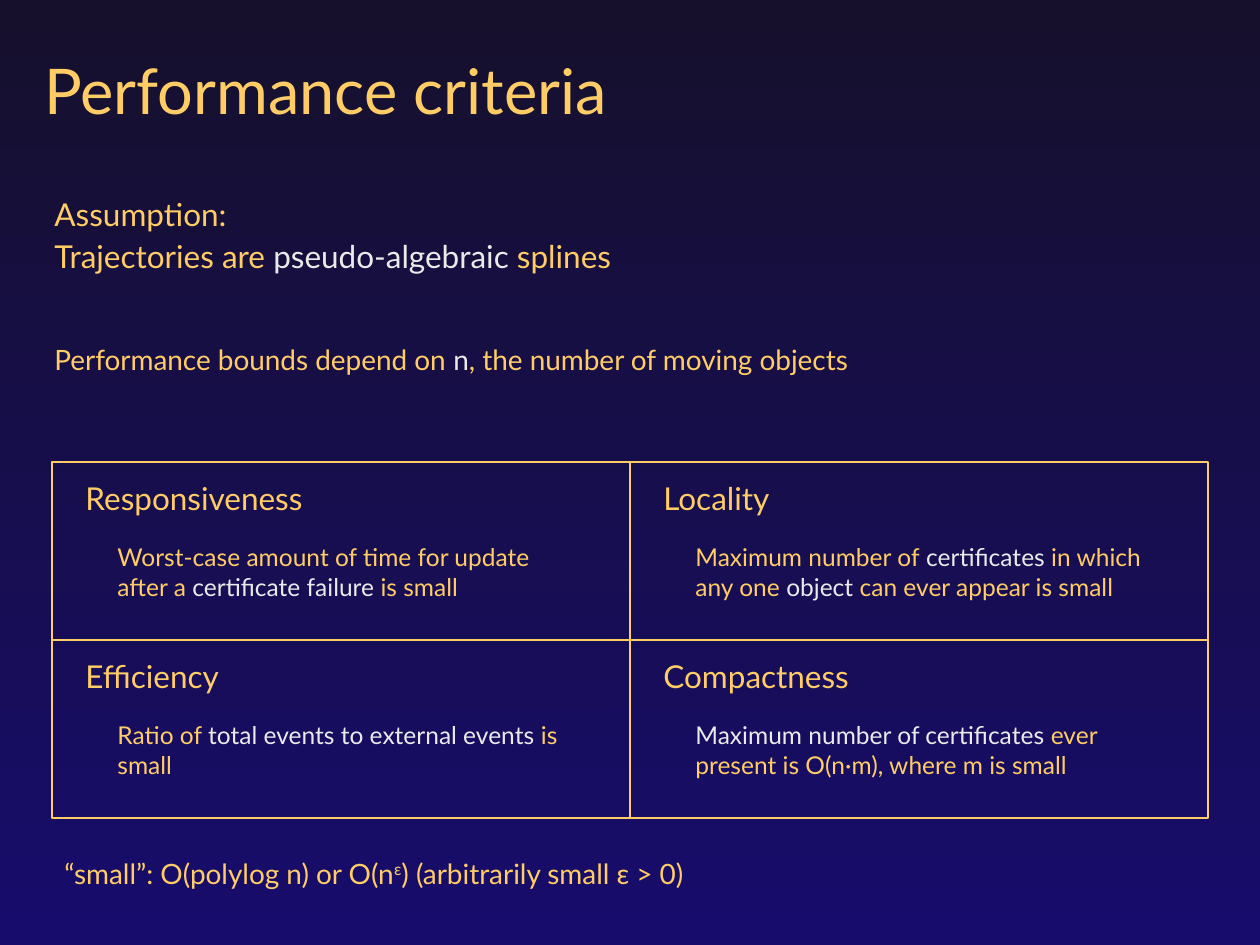
import pptx
import pptx.dml.color
import pptx.enum.shapes
import pptx.enum.text
import pptx.oxml.ns
import pptx.util
from lxml import etree

PX = 914400 / 126  # EMU per px
GOLD = pptx.dml.color.RGBColor(0xFF, 0xCC, 0x66)
PALE = pptx.dml.color.RGBColor(0xEA, 0xEA, 0xEA)
NIGHT = pptx.dml.color.RGBColor(0x16, 0x10, 0x2C)
INDIGO = pptx.dml.color.RGBColor(0x17, 0x0C, 0x6C)
FONT = "Lato"

# A paragraph is a list of (text, style) runs.
PLAIN, KEY, SUPER = "plain", "key", "super"
TITLE = [("Performance criteria", PLAIN)]
ASSUMPTION = [
    [("Assumption:", PLAIN)],
    [("Trajectories are ", PLAIN), ("pseudo-algebraic", KEY), (" splines", PLAIN)],
]
BOUNDS = [("Performance bounds depend on ", PLAIN), ("n", KEY),
          (", the number of moving objects", PLAIN)]
CRITERIA = [  # rows of (name, definition)
    [
        ("Responsiveness", [
            ("Worst-case amount of time for update after a ", PLAIN),
            ("certificate failure", KEY), (" is small", PLAIN)]),
        ("Locality", [
            ("Maximum number of", PLAIN), (" certificates", KEY),
            (" in which any one ", PLAIN), ("object", KEY),
            (" can ever appear is small", PLAIN)]),
    ],
    [
        ("Efficiency", [
            ("Ratio of ", PLAIN), ("total events to external events", KEY),
            (" is small", PLAIN)]),
        ("Compactness", [
            ("Maximum number of certificates", KEY),
            (" ever present is O(n·m), where m is small", PLAIN)]),
    ],
]
FOOTNOTE = [("“small”: O(polylog n) or O(n", PLAIN), ("ε", SUPER),
            (") (arbitrarily small ε > 0)", PLAIN)]

GRID_LEFT, GRID_TOP, CELL_W, CELL_H = 52, 462, 578, 178


def emu(*lengths):
    return [pptx.util.Emu(round(length * PX)) for length in lengths]


def write(frame, paragraphs, size, space_after=0):
    frame.word_wrap = True
    for i, runs in enumerate(paragraphs):
        paragraph = frame.paragraphs[0] if i == 0 else frame.add_paragraph()
        paragraph.alignment = pptx.enum.text.PP_ALIGN.LEFT
        paragraph.space_after = pptx.util.Pt(space_after)
        for text, style in runs:
            run = paragraph.add_run()
            run.text = text
            run.font.name = FONT
            run.font.size = pptx.util.Pt(size)
            run.font.color.rgb = PALE if style == KEY else GOLD
            if style == SUPER:
                run.font._element.set("baseline", "30000")


def add_text(slide, box, paragraphs, size, space_after=0):
    frame = slide.shapes.add_textbox(*emu(*box)).text_frame
    write(frame, paragraphs, size, space_after)


def add_rule(slide, x1, y1, x2, y2):
    rule = slide.shapes.add_connector(
        pptx.enum.shapes.MSO_CONNECTOR.STRAIGHT, *emu(x1, y1, x2, y2))
    rule.line.color.rgb = GOLD
    rule.line.width = pptx.util.Pt(1)
    etree.SubElement(rule._element.spPr, pptx.oxml.ns.qn("a:effectLst"))


def add_criteria(slide):
    right, bottom = GRID_LEFT + 2 * CELL_W, GRID_TOP + 2 * CELL_H
    middle_x, middle_y = GRID_LEFT + CELL_W, GRID_TOP + CELL_H
    border = slide.shapes.add_shape(
        pptx.enum.shapes.MSO_SHAPE.RECTANGLE,
        *emu(GRID_LEFT, GRID_TOP, 2 * CELL_W, 2 * CELL_H))
    border.shadow.inherit = False
    border.fill.background()
    border.line.color.rgb = GOLD
    border.line.width = pptx.util.Pt(1)
    add_rule(slide, GRID_LEFT, middle_y, right, middle_y)
    add_rule(slide, middle_x, GRID_TOP, middle_x, bottom)

    for row, cells in enumerate(CRITERIA):
        for column, (name, definition) in enumerate(cells):
            x, y = GRID_LEFT + column * CELL_W, GRID_TOP + row * CELL_H
            add_text(slide, (x + 21, y + 11, 536, 50), [[(name, PLAIN)]], 18)
            add_text(slide, (x + 53, y + 74, 475, 72), [definition], 14)


def main():
    presentation = pptx.Presentation()
    presentation.slide_width, presentation.slide_height = emu(1260, 945)
    slide = presentation.slides.add_slide(presentation.slide_layouts[5])

    backdrop = slide.background.fill
    backdrop.gradient()
    backdrop.gradient_angle = 270
    for stop, color in zip(backdrop.gradient_stops, (NIGHT, INDIGO)):
        stop.color.rgb = color

    title = slide.shapes.title
    title.left, title.top, title.width, title.height = emu(32, 42, 1176, 94)
    title.text_frame.vertical_anchor = pptx.enum.text.MSO_ANCHOR.MIDDLE
    write(title.text_frame, [TITLE], 36)

    add_text(slide, (42, 189, 1176, 94), ASSUMPTION, 18, 2.2)
    add_text(slide, (42, 336, 1176, 47), [BOUNDS], 16)
    add_criteria(slide)
    add_text(slide, (52, 850, 1156, 47), [FOOTNOTE], 16)
    presentation.save("out.pptx")


if __name__ == "__main__":
    main()
